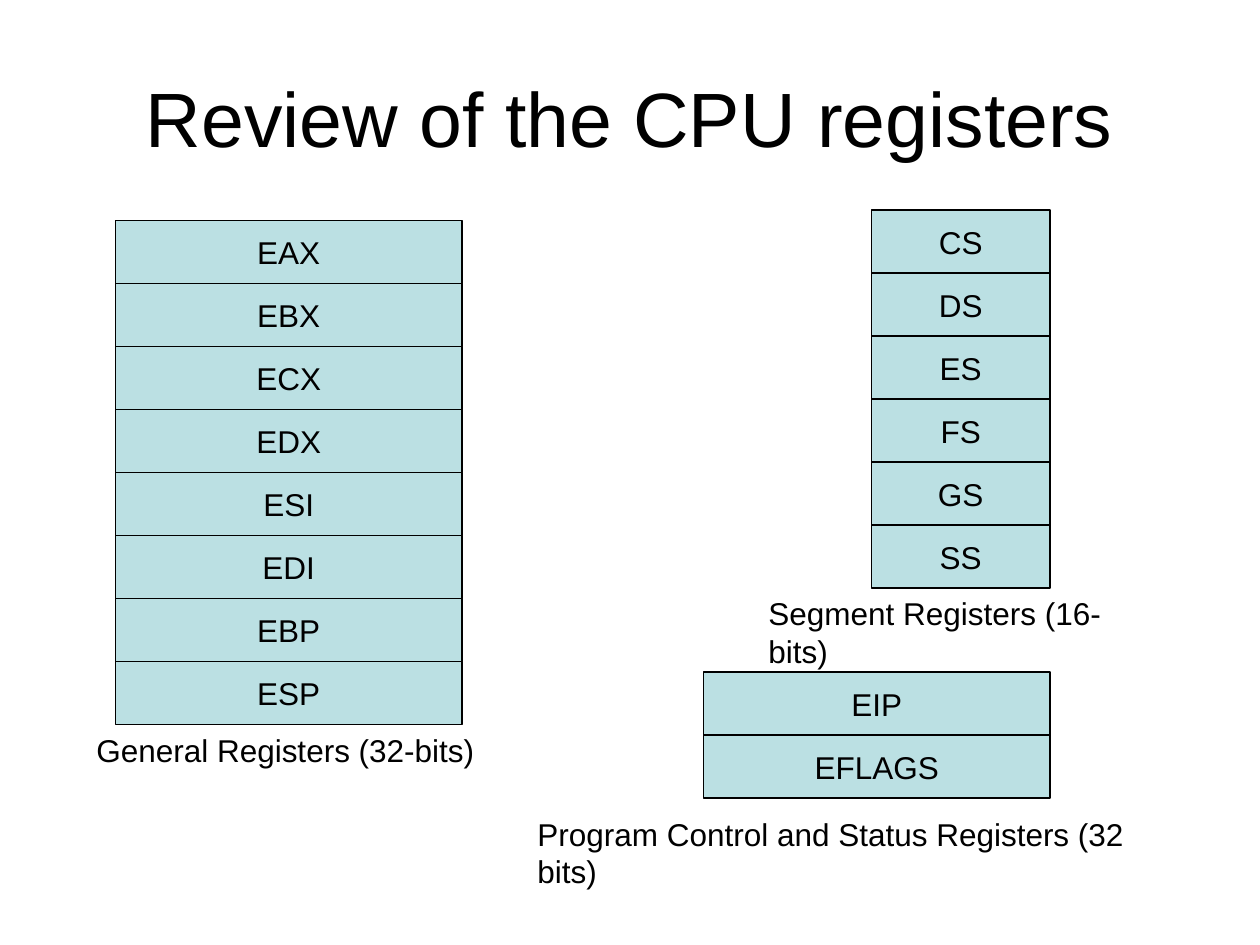
from pptx import Presentation
from pptx.dml.color import RGBColor
from pptx.enum.shapes import MSO_SHAPE as Shape
from pptx.enum.text import MSO_ANCHOR as Anchor, MSO_AUTO_SIZE as AutoSize, PP_ALIGN as Align
from pptx.util import Inches, Pt

COLORS = {"text": "000000", "cell": "BBE0E3", "border": "000000"}
FONT = "Arial"
UNIT = Inches(1) // 12
COLUMNS, ROWS = 120, 90
CELL_ROWS = 6
CAPTION_ROWS = 4.8

REGISTER_GROUPS = [
    {
        "names": ["EAX", "EBX", "ECX", "EDX", "ESI", "EDI", "EBP", "ESP"],
        "stack": (11, 21, 33),
        "caption": "General Registers (32-bits)",
        "caption_place": (8, 69, 38.4),
    },
    {
        "names": ["CS", "DS", "ES", "FS", "GS", "SS"],
        "stack": (83, 20, 17),
        "caption": "Segment Registers (16-bits)",
        "caption_place": (72, 56, 39.7),
    },
    {
        "names": ["EIP", "EFLAGS"],
        "stack": (67, 64, 33),
        "caption": "Program Control and Status Registers (32 bits)",
        "caption_place": (50, 77, 64.7),
    },
]


def grid_box(column, row, columns, rows):
    """Turn grid columns and rows into left, top, width and height."""
    return [int(value * UNIT) for value in (column, row, columns, rows)]


def rgb(name):
    """Look up a named colour."""
    return RGBColor.from_string(COLORS[name])


def write_text(shape, text, size=18, align=Align.CENTER, anchor=Anchor.MIDDLE, wrap=False):
    """Put formatted text into a shape."""
    frame = shape.text_frame
    frame.word_wrap = wrap
    frame.vertical_anchor = anchor
    paragraph = frame.paragraphs[0]
    paragraph.alignment = align
    run = paragraph.add_run()
    run.text = text
    run.font.name = FONT
    run.font.size = Pt(size)
    run.font.color.rgb = rgb("text")


def add_title(slide, text):
    """Place and fill the title placeholder."""
    title = slide.shapes.title
    title.left, title.top, title.width, title.height = grid_box(6, 3.6, 108, 15)
    write_text(title, text, size=44, wrap=True)


def add_register(slide, name, column, row, columns):
    """Draw one register as a bordered cell."""
    cell = slide.shapes.add_shape(Shape.RECTANGLE, *grid_box(column, row, columns, CELL_ROWS))
    cell.shadow.inherit = False
    cell.fill.solid()
    cell.fill.fore_color.rgb = rgb("cell")
    cell.line.color.rgb = rgb("border")
    cell.line.width = Pt(0.75)
    write_text(cell, name)


def add_register_stack(slide, names, column, row, columns):
    """Stack registers downwards from a grid position."""
    for index, name in enumerate(names):
        add_register(slide, name, column, row + index * CELL_ROWS, columns)


def add_caption(slide, text, column, row, columns):
    """Label a register stack."""
    caption = slide.shapes.add_textbox(*grid_box(column, row, columns, CAPTION_ROWS))
    write_text(caption, text, align=Align.LEFT, anchor=Anchor.TOP)
    caption.text_frame.auto_size = AutoSize.SHAPE_TO_FIT_TEXT


def main():
    """Build the register overview slide."""
    presentation = Presentation()
    presentation.slide_width = COLUMNS * UNIT
    presentation.slide_height = ROWS * UNIT
    slide = presentation.slides.add_slide(presentation.slide_layouts[5])
    add_title(slide, "Review of the CPU registers")
    for group in REGISTER_GROUPS:
        add_register_stack(slide, group["names"], *group["stack"])
        add_caption(slide, group["caption"], *group["caption_place"])
    presentation.save("out.pptx")


if __name__ == "__main__":
    main()
